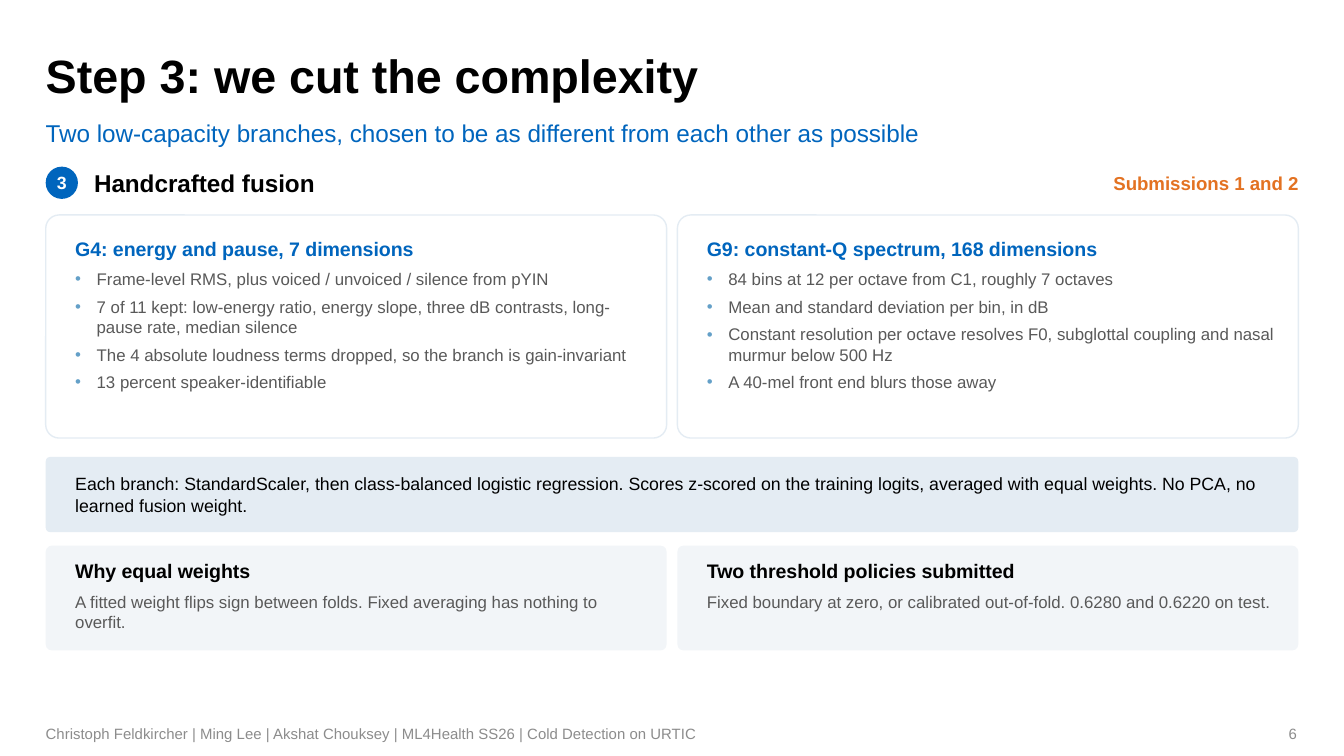
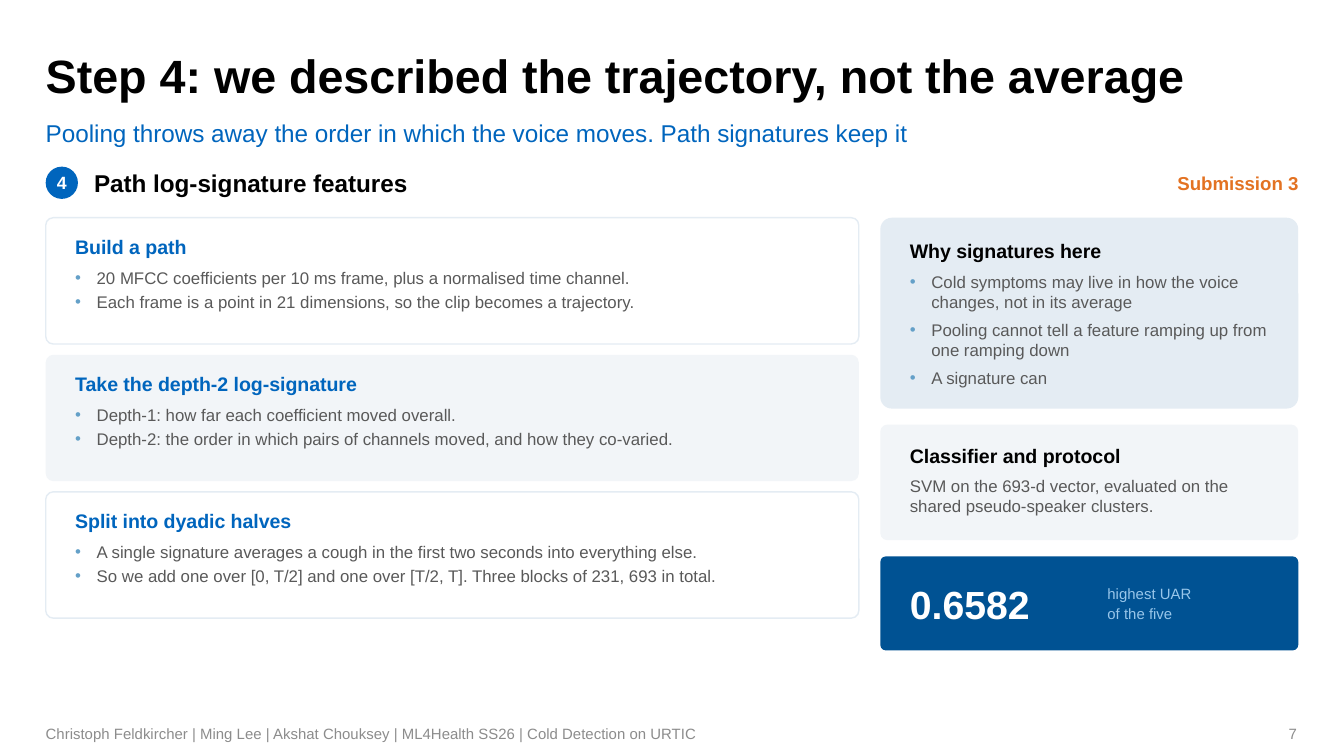
from lxml.etree import SubElement
from pptx import Presentation
from pptx.dml.color import RGBColor
from pptx.enum.shapes import MSO_SHAPE
from pptx.enum.text import MSO_ANCHOR, PP_ALIGN
from pptx.oxml.ns import qn
from pptx.util import Emu, Pt

PX = 9144  # one px is a hundredth of an inch
SLIDE_WIDTH, SLIDE_HEIGHT = 1000 * PX, 1000 * PX * 9 // 16
FONT = "Arial"
BLACK, WHITE, GREY, FOOTER_GREY = "000000", "FFFFFF", "595959", "8C8C8C"
BLUE, DARK_BLUE, LIGHT_BLUE, BULLET_BLUE = "0065BD", "005293", "98C6EA", "64A0C8"
PALE_BLUE, PALE_GREY, ORANGE = "E4ECF3", "F2F5F8", "E37222"

LEFT, CONTENT_WIDTH = 34, 932
PADDING, BULLET_INDENT = 22, 16
HEADING_TO_BODY = 24
FOOTER = "Christoph Feldkircher | Ming Lee | Akshat Chouksey | ML4Health SS26 | Cold Detection on URTIC"

FUSION = {
    "number": 6,
    "title": "Step 3: we cut the complexity",
    "subtitle": "Two low-capacity branches, chosen to be as different from each other as possible",
    "step": "3",
    "section": "Handcrafted fusion",
    "tag": "Submissions 1 and 2",
}
BRANCHES = [
    ("G4: energy and pause, 7 dimensions", [
        "Frame-level RMS, plus voiced / unvoiced / silence from pYIN",
        "7 of 11 kept: low-energy ratio, energy slope, three dB contrasts, long-pause rate, median silence",
        "The 4 absolute loudness terms dropped, so the branch is gain-invariant",
        "13 percent speaker-identifiable",
    ]),
    ("G9: constant-Q spectrum, 168 dimensions", [
        "84 bins at 12 per octave from C1, roughly 7 octaves",
        "Mean and standard deviation per bin, in dB",
        "Constant resolution per octave resolves F0, subglottal coupling and nasal murmur below 500 Hz",
        "A 40-mel front end blurs those away",
    ]),
]
METHOD = ("Each branch: StandardScaler, then class-balanced logistic regression. Scores z-scored on the "
          "training logits, averaged with equal weights. No PCA, no learned fusion weight.")
DECISIONS = [
    ("Why equal weights",
     "A fitted weight flips sign between folds. Fixed averaging has nothing to overfit."),
    ("Two threshold policies submitted",
     "Fixed boundary at zero, or calibrated out-of-fold. 0.6280 and 0.6220 on test."),
]

SIGNATURES = {
    "number": 7,
    "title": "Step 4: we described the trajectory, not the average",
    "subtitle": "Pooling throws away the order in which the voice moves. Path signatures keep it",
    "step": "4",
    "section": "Path log-signature features",
    "tag": "Submission 3",
}
STAGES = [
    ("Build a path", [
        "20 MFCC coefficients per 10 ms frame, plus a normalised time channel.",
        "Each frame is a point in 21 dimensions, so the clip becomes a trajectory.",
    ]),
    ("Take the depth-2 log-signature", [
        "Depth-1: how far each coefficient moved overall.",
        "Depth-2: the order in which pairs of channels moved, and how they co-varied.",
    ]),
    ("Split into dyadic halves", [
        "A single signature averages a cough in the first two seconds into everything else.",
        "So we add one over [0, T/2] and one over [T/2, T]. Three blocks of 231, 693 in total.",
    ]),
]
REASONS = ("Why signatures here", [
    "Cold symptoms may live in how the voice changes, not in its average",
    "Pooling cannot tell a feature ramping up from one ramping down",
    "A signature can",
])
PROTOCOL = ("Classifier and protocol",
            "SVM on the 693-d vector, evaluated on the shared pseudo-speaker clusters.")
SCORE, SCORE_NOTES = "0.6582", ["highest UAR", "of the five"]


def color(value):
    return RGBColor.from_string(value)


def emu(*lengths):
    return [Emu(length * PX) for length in lengths]


def add_bullet(paragraph):
    properties = paragraph._p.get_or_add_pPr()
    indent = BULLET_INDENT * PX
    properties.set("marL", str(indent))
    properties.set("indent", str(-indent))
    bullet_color = SubElement(properties, qn("a:buClr"))
    SubElement(bullet_color, qn("a:srgbClr")).set("val", BULLET_BLUE)
    SubElement(properties, qn("a:buFont")).set("typeface", FONT)
    SubElement(properties, qn("a:buChar")).set("char", "•")


def write(shape, lines, size, text_color, bold=False, align=PP_ALIGN.LEFT, middle=False,
          bullets=False, space_after=None, line_height=None, inset_top=0):
    frame = shape.text_frame
    frame.word_wrap = True
    frame.margin_left = frame.margin_right = frame.margin_bottom = 0
    frame.margin_top = Emu(inset_top * PX)
    frame.vertical_anchor = MSO_ANCHOR.MIDDLE if middle else MSO_ANCHOR.TOP
    for index, line in enumerate(lines):
        paragraph = frame.add_paragraph() if index else frame.paragraphs[0]
        if bullets:
            add_bullet(paragraph)
        paragraph.font.size = Pt(size)
        paragraph.alignment = align
        if space_after:
            paragraph.space_after = Pt(space_after)
        if line_height:
            paragraph.line_spacing = Pt(line_height)
        run = paragraph.add_run()
        run.text = line
        run.font.name = FONT
        run.font.size = Pt(size)
        run.font.bold = bold
        run.font.color.rgb = color(text_color)


def add_text(slide, box, lines, size, text_color, **style):
    write(slide.shapes.add_textbox(*emu(*box)), lines, size, text_color, **style)


def add_filled(slide, kind, box, fill, outline=None):
    shape = slide.shapes.add_shape(kind, *emu(*box))
    shape.shadow.inherit = False
    shape.fill.solid()
    shape.fill.fore_color.rgb = color(fill)
    if outline:
        shape.line.color.rgb = color(outline)
        shape.line.width = Pt(0.75)
    else:
        shape.line.fill.background()
    return shape


def add_panel(slide, box, fill):
    """Add a rounded panel; white panels get an outline."""
    panel = add_filled(slide, MSO_SHAPE.ROUNDED_RECTANGLE, box, fill,
                       PALE_BLUE if fill == WHITE else None)
    panel.adjustments[0] = 0.06


def add_card(slide, box, fill, content, heading_color, heading_offset, space_after=None):
    """Add a panel with a heading over a list of bullets or one plain sentence."""
    left, top, width, height = box
    heading, body = content
    bullets = isinstance(body, list)
    text_left, text_width = left + PADDING, width - 38
    heading_top = top + heading_offset
    body_top = heading_top + HEADING_TO_BODY
    add_panel(slide, box, fill)
    add_text(slide, (text_left, heading_top, text_width, 20), [heading], 10.5, heading_color, bold=True)
    add_text(slide, (text_left, body_top, text_width, top + height - body_top - 6),
             body if bullets else [body], 9, GREY, bullets=bullets, space_after=space_after)


def add_base_slide(presentation, info):
    """Add a slide with title, subtitle, footer and section line."""
    slide = presentation.slides.add_slide(presentation.slide_layouts[6])
    add_text(slide, (LEFT, 32, 931, 42), [info["title"]], 25, BLACK, bold=True, line_height=32)
    add_text(slide, (LEFT, 75, 931, 35), [info["subtitle"]], 13, BLUE, line_height=18, inset_top=10)
    add_text(slide, (LEFT, 531, 707, 30), [FOOTER], 8, FOOTER_GREY, middle=True)
    add_text(slide, (741, 531, 224, 30), [str(info["number"])], 8, FOOTER_GREY,
             align=PP_ALIGN.RIGHT, middle=True)
    badge = add_filled(slide, MSO_SHAPE.OVAL, (LEFT, 124, 24, 24), BLUE)
    write(badge, [info["step"]], 9.5, WHITE, bold=True, align=PP_ALIGN.CENTER, middle=True)
    add_text(slide, (70, 124, 440, 24), [info["section"]], 13, BLACK, bold=True, middle=True)
    add_text(slide, (755, 124, 211, 24), [info["tag"]], 10, ORANGE, bold=True,
             align=PP_ALIGN.RIGHT, middle=True)
    return slide


def build_fusion(presentation):
    slide = add_base_slide(presentation, FUSION)
    gap = 8
    width = (CONTENT_WIDTH - gap) // 2
    lefts = [LEFT, LEFT + width + gap]
    for left, branch in zip(lefts, BRANCHES):
        add_card(slide, (left, 160, width, 166), WHITE, branch, BLUE, 16, space_after=4)
    add_panel(slide, (LEFT, 340, CONTENT_WIDTH, 56), PALE_BLUE)
    add_text(slide, (LEFT + PADDING, 340, CONTENT_WIDTH - 2 * PADDING, 56), [METHOD], 9.5, BLACK,
             middle=True)
    for left, decision in zip(lefts, DECISIONS):
        add_card(slide, (left, 406, width, 78), PALE_GREY, decision, BLACK, 10)


def build_signatures(presentation):
    slide = add_base_slide(presentation, SIGNATURES)
    top, stage_height, gap = 162, 94, 8
    for row, stage in enumerate(STAGES):
        box = (LEFT, top + row * (stage_height + gap), 605, stage_height)
        add_card(slide, box, PALE_GREY if row % 2 else WHITE, stage, BLUE, 13, space_after=2)

    side_left, side_width, score_top, score_height = 655, 311, 414, 70
    add_card(slide, (side_left, top, side_width, 142), PALE_BLUE, REASONS, BLACK, 16, space_after=4)
    add_card(slide, (side_left, 316, side_width, 86), PALE_GREY, PROTOCOL, BLACK, 14)
    add_panel(slide, (side_left, score_top, side_width, score_height), DARK_BLUE)
    add_text(slide, (side_left + PADDING, score_top, 138, score_height), [SCORE], 21, WHITE,
             bold=True, middle=True)
    add_text(slide, (824, score_top, 120, score_height), SCORE_NOTES, 8, LIGHT_BLUE,
             middle=True, space_after=1)


def main():
    presentation = Presentation()
    presentation.slide_width = Emu(SLIDE_WIDTH)
    presentation.slide_height = Emu(SLIDE_HEIGHT)
    build_fusion(presentation)
    build_signatures(presentation)
    presentation.save("out.pptx")


if __name__ == "__main__":
    main()
